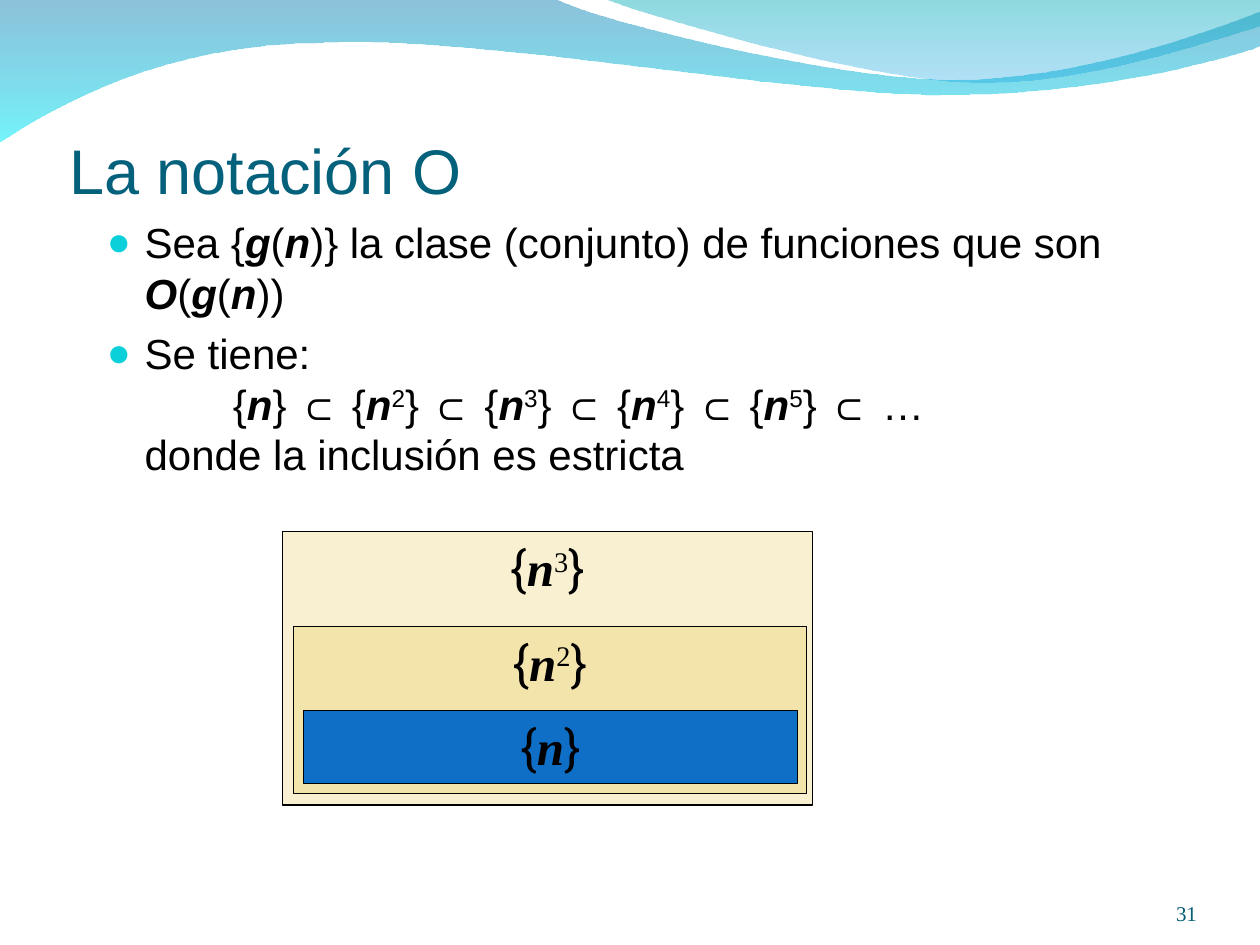
"""Build the slide on O notation with its nested function classes."""
from lxml import etree
from pptx import Presentation
from pptx import util as u
from pptx.dml.color import RGBColor
from pptx.enum import shapes, text
from pptx.oxml import ns

SANS, SERIF, BRACE = "Arial", "Times New Roman", "Roboto"
WAVES = [
    ([(0, -0.01), (4.4, -0.01), (4.76, 0.17, 6.64, 0.63, 7.58, 0.63),
      (8.53, 0.63, 9.58, 0.26, 10, 0.09), (10.01, 0.36),
      (9.83, 0.44, 8.7, 0.76, 7.46, 0.75), (6.22, 0.75, 3.82, 0.28, 2.57, 0.34),
      (1.29, 0.35, 0.46, 0.83, -0.01, 1.13)],
     [("0079AF", 45), ("00EBF8", 55)]),
    ([(4.79, -0.01), (5.09, 0.11, 6.82, 0.62, 7.69, 0.65),
      (8.56, 0.69, 9.61, 0.32, 10, 0.21), (10, 0)],
     [("00ADB6", 45), ("009BE5", 30)]),
]
TITLE = "La notación O"
BODY = [
    "Sea {*g*(*n*)} la clase (conjunto) de funciones que son *O*(*g*(*n*))",
    "Se tiene:\n\t{*n*} ⊂ {*n*^2^} ⊂ {*n*^3^} ⊂ {*n*^4^} ⊂ {*n*^5^} ⊂ … \n"
    "donde la inclusión es estricta",
]
NEST = [
    ("{*n*^3^}", "F8F0D0", (2.24, 4.22, 4.21, 2.17)),
    ("{*n*^2^}", "F2E4AA", (2.33, 4.97, 4.07, 1.33)),
    ("{*n*}", "0F6FC6", (2.41, 5.64, 3.92, 0.58)),
]
PAGE = "31"


def rgb(code):
    """Turn a hex string into a colour."""
    return RGBColor.from_string(code)


def sub(node, tag, **attrs):
    """Append a drawing element to a node."""
    return etree.SubElement(node, ns.qn("a:" + tag), attrs)


def bend(shape, steps):
    """Merge each run of three line points into one cubic curve."""
    lines = iter(list(shape._element.iter(ns.qn("a:lnTo"))))
    for step in steps:
        first = next(lines)
        if len(step) == 6:
            first.tag = ns.qn("a:cubicBezTo")
            for _ in range(2):
                line = next(lines)
                first.append(line[0])
                line.getparent().remove(line)


def wave(slide, path, stops):
    """Draw a curved outline with a see-through vertical gradient."""
    pts = [tuple(map(u.Inches, step[k:k + 2]))
           for step in path for k in range(0, len(step), 2)]
    pen = slide.shapes.build_freeform(*pts[0])
    pen.add_line_segments(pts[1:], close=True)
    shape = pen.convert_to_shape()
    bend(shape, path[1:])
    shape.shadow.inherit = False
    shape.line.fill.background()
    shape.fill.gradient()
    shape.fill.gradient_angle = 270
    for stop, (code, _) in zip(shape.fill.gradient_stops, stops):
        stop.color.rgb = rgb(code)
    nodes = shape._element.spPr.findall(".//" + ns.qn("a:srgbClr"))
    for node, (_, part) in zip(nodes, stops):
        sub(node, "alpha", val=str(part * 1000))


def bullet(para):
    """Give a paragraph a round bullet, a hanging indent and a tab stop."""
    props = para._p.get_or_add_pPr()
    props.set("marL", str(u.Inches(0.3)))
    props.set("indent", str(u.Inches(-0.3)))
    sub(sub(props, "buClr"), "srgbClr", val="0BD0D9")
    sub(props, "buSzPct", val="95000")
    sub(props, "buFont", typeface=SANS)
    sub(props, "buChar", char="●")
    sub(sub(props, "tabLst"), "tab", pos=str(u.Inches(1)), algn="l")


def write(shape, paras, size, face, color="000000", brace=None, align="LEFT",
          anchor="TOP", pad=(0.1, 0.05, 0.1, 0.05), wrap=True, dots=False):
    """Fill a shape with text: *bold italic*, ^superscript^."""
    frame = shape.text_frame
    frame.word_wrap = wrap
    frame.vertical_anchor = text.MSO_ANCHOR[anchor]
    (frame.margin_left, frame.margin_top,
     frame.margin_right, frame.margin_bottom) = map(u.Inches, pad)
    for n, item in enumerate(paras):
        para = frame.add_paragraph() if n else frame.paragraphs[0]
        para.alignment = text.PP_ALIGN[align]
        if n:
            para.space_before = u.Pt(6)
        if dots:
            bullet(para)
        para.font.size = u.Pt(size)
        for row, line in enumerate(item.split("\n")):
            if row:
                para.add_line_break()
            for i, part in enumerate(line.split("*")):
                for j, bit in enumerate(part.split("^")):
                    if not bit:
                        continue
                    run = para.add_run()
                    run.text = bit
                    font = run.font
                    font.size = u.Pt(size)
                    font.name = brace if brace and bit in "{}" else face
                    font.color.rgb = rgb(color)
                    font.bold = font.italic = i % 2 == 1
                    if j % 2:
                        run._r.get_or_add_rPr().set("baseline", "30000")


def label(slide, place, paras, **style):
    """Add a text box."""
    write(slide.shapes.add_textbox(*map(u.Inches, place)), paras, **style)


def main():
    """Assemble and save the slide."""
    deck = Presentation()
    deck.slide_width, deck.slide_height = u.Inches(10), u.Inches(7.5)
    slide = deck.slides.add_slide(deck.slide_layouts[6])
    for path, stops in WAVES:
        wave(slide, path, stops)
    label(slide, (0.55, 0.39, 9, 1.25), [TITLE], size=36, face=SANS,
          color="04617B", anchor="BOTTOM", pad=(0, 0.05, 0, 0))
    label(slide, (0.75, 1.67, 8.33, 2.25), BODY, size=24, face=SANS, dots=True)
    label(slide, (8.67, 6.95, 0.83, 0.4), [PAGE], size=12, face=SERIF,
          color="045C75", align="RIGHT", anchor="BOTTOM", pad=(0, 0, 0, 0))
    for name, fill, place in NEST:
        box = slide.shapes.add_shape(shapes.MSO_SHAPE.RECTANGLE, *map(u.Inches, place))
        box.shadow.inherit = False
        box.fill.solid()
        box.fill.fore_color.rgb = rgb(fill)
        box.line.color.rgb = rgb("000000")
        box.line.width = u.Pt(0.75)
        write(box, [name], size=28, face=SERIF, brace=BRACE, align="CENTER", wrap=False)
    deck.save("out.pptx")


if __name__ == "__main__":
    main()
